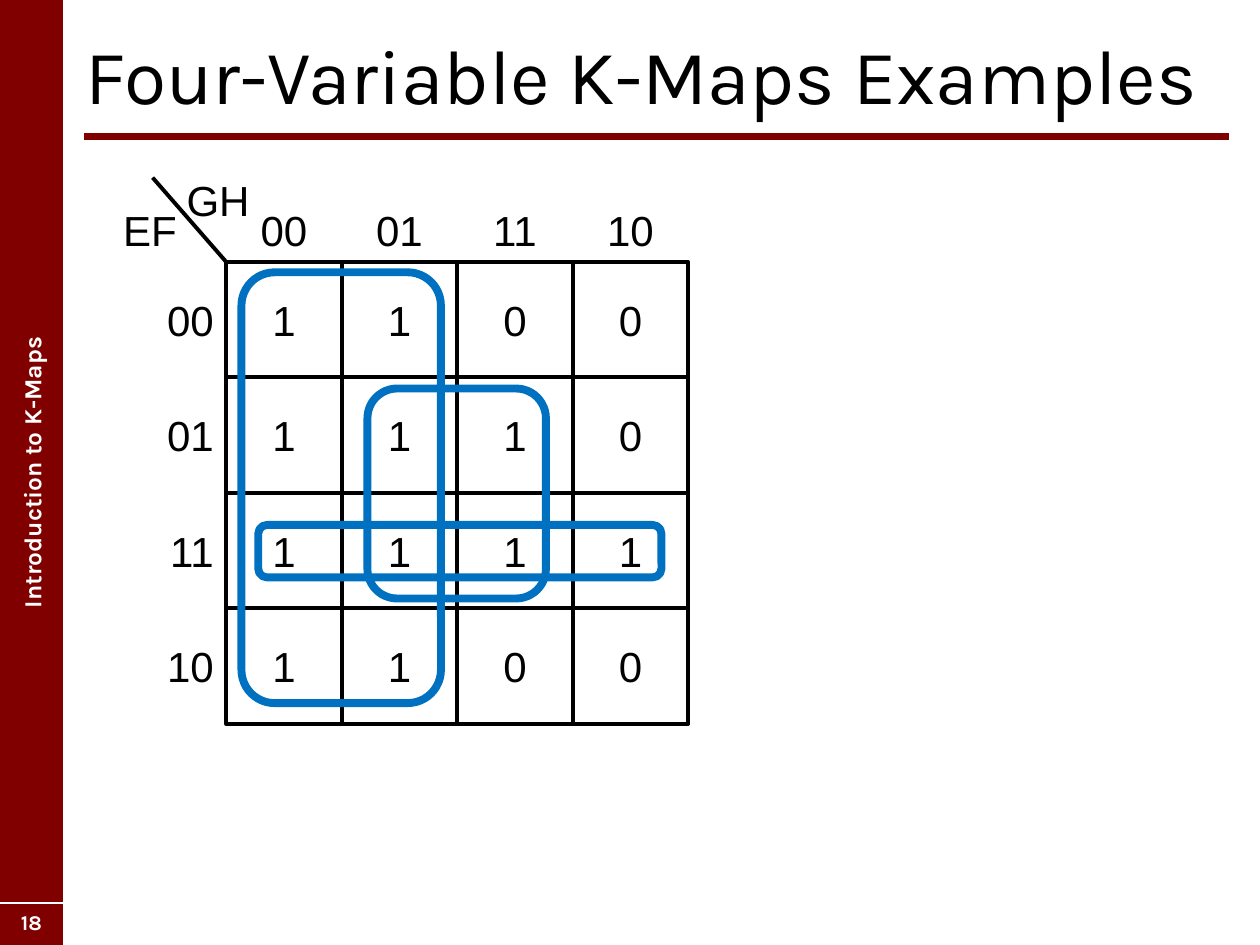
"""Build the four-variable Karnaugh map slide."""
from dataclasses import dataclass

from lxml.etree import SubElement
from pptx import Presentation
from pptx.dml.color import RGBColor
from pptx.enum.shapes import MSO_CONNECTOR as Connector, MSO_SHAPE as Shape
from pptx.enum.text import MSO_ANCHOR as Anchor, PP_ALIGN as Align
from pptx.oxml.ns import qn
from pptx.util import Pt

MAROON = RGBColor(0x80, 0x00, 0x00)
BLUE = RGBColor(0x00, 0x70, 0xC0)
BLACK = RGBColor(0x00, 0x00, 0x00)
WHITE = RGBColor(0xFF, 0xFF, 0xFF)

CELL = 66
GRID_LEFT, GRID_TOP = 129.3, 149.7
HEADER_TOP, LABEL_HEIGHT = 113.2, 36
GRAY_CODES = ("00", "01", "11", "10")
MAP_ROWS = ("1100", "1110", "1111", "1100")


@dataclass(frozen=True)
class Box:
    left: float
    top: float
    width: float
    height: float

    def lengths(self) -> tuple:
        return Pt(self.left), Pt(self.top), Pt(self.width), Pt(self.height)


@dataclass(frozen=True)
class Style:
    size: float
    font: str = "Arial"
    color: RGBColor = BLACK
    bold: bool = False
    align: Align = Align.CENTER
    anchor: Anchor = Anchor.TOP
    wrap: bool = False
    side_margin: float = 7.2


TITLE = Style(44, "Karla", align=Align.LEFT, anchor=Anchor.MIDDLE, wrap=True)
SECTION = Style(14, "Karla", WHITE, True, anchor=Anchor.MIDDLE)
PAGE_NUMBER = Style(12, "Karla", WHITE, True, wrap=True)
HEADER = Style(24)
AXIS_NAME = Style(24, side_margin=0)
CELL_VALUE = Style(24, anchor=Anchor.MIDDLE, side_margin=0)
ROW_LABEL = Style(24, align=Align.RIGHT, anchor=Anchor.MIDDLE)

GROUPS = (
    Box(147.6, 300, 230.4, 30),
    Box(210, 222, 102, 120),
    Box(138, 155.6, 114, 246.2),
)


def write(shape, text: str, style: Style) -> None:
    frame = shape.text_frame
    frame.word_wrap = style.wrap
    frame.vertical_anchor = style.anchor
    frame.margin_left = frame.margin_right = Pt(style.side_margin)
    paragraph = frame.paragraphs[0]
    paragraph.text = text
    paragraph.alignment = style.align
    font = paragraph.font
    font.name, font.size, font.bold = style.font, Pt(style.size), style.bold
    font.color.rgb = style.color


def add_label(slide, box: Box, text: str, style: Style) -> None:
    write(slide.shapes.add_textbox(*box.lengths()), text, style)


def add_line(slide, start: tuple, end: tuple, color: RGBColor, width: float) -> None:
    line = slide.shapes.add_connector(
        Connector.STRAIGHT, *(Pt(value) for value in start + end))
    line.line.color.rgb = color
    line.line.width = Pt(width)
    SubElement(line._element.spPr, qn("a:effectLst"))


def add_sidebar(slide) -> None:
    sidebar = slide.shapes.add_shape(
        Shape.RECTANGLE, *Box(-252, 252, 540, 36).lengths())
    sidebar.rotation = 270
    sidebar.shadow.inherit = False
    sidebar.fill.solid()
    sidebar.fill.fore_color.rgb = MAROON
    sidebar.line.fill.background()
    write(sidebar, "Introduction to K-Maps", SECTION)
    add_label(slide, Box(0, 516, 36, 21.8), "18", PAGE_NUMBER)
    add_line(slide, (0, 516), (36, 516), WHITE, 0.75)


def add_cell(slide, box: Box, value: str) -> None:
    cell = slide.shapes.add_shape(Shape.RECTANGLE, *box.lengths())
    cell.shadow.inherit = False
    cell.fill.solid()
    cell.fill.fore_color.rgb = WHITE
    cell.line.color.rgb = BLACK
    cell.line.width = Pt(2.25)
    cell.text_frame.margin_top = cell.text_frame.margin_bottom = 0
    write(cell, value, CELL_VALUE)


def add_group(slide, box: Box) -> None:
    group = slide.shapes.add_shape(Shape.ROUNDED_RECTANGLE, *box.lengths())
    group.shadow.inherit = False
    group.fill.background()
    group.line.color.rgb = BLUE
    group.line.width = Pt(4.5)


def add_map(slide) -> None:
    add_line(slide, (GRID_LEFT, GRID_TOP), (87.2, 101.5), BLACK, 2.25)
    add_label(slide, Box(63.4, HEADER_TOP, 44.5, LABEL_HEIGHT), "EF", AXIS_NAME)
    add_label(slide, Box(102.4, 96, 44.5, LABEL_HEIGHT), "GH", AXIS_NAME)
    for index, code in enumerate(GRAY_CODES):
        offset = index * CELL
        add_label(slide, Box(GRID_LEFT + offset, HEADER_TOP, CELL, LABEL_HEIGHT),
                  code, HEADER)
        add_label(slide, Box(GRID_LEFT - CELL, GRID_TOP + offset, CELL, CELL),
                  code, ROW_LABEL)
    for row, values in enumerate(MAP_ROWS):
        for column, value in enumerate(values):
            add_cell(slide, Box(GRID_LEFT + column * CELL, GRID_TOP + row * CELL,
                                CELL, CELL), value)
    for group in GROUPS:
        add_group(slide, group)


def main() -> None:
    presentation = Presentation()
    presentation.slide_width, presentation.slide_height = Pt(720), Pt(540)
    slide = presentation.slides.add_slide(presentation.slide_layouts[6])
    add_sidebar(slide)
    add_line(slide, (48, 78), (702, 78), MAROON, 4)
    add_label(slide, Box(42, 6, 672, 72), "Four-Variable K-Maps Examples", TITLE)
    add_map(slide)
    presentation.save("out.pptx")


if __name__ == "__main__":
    main()
